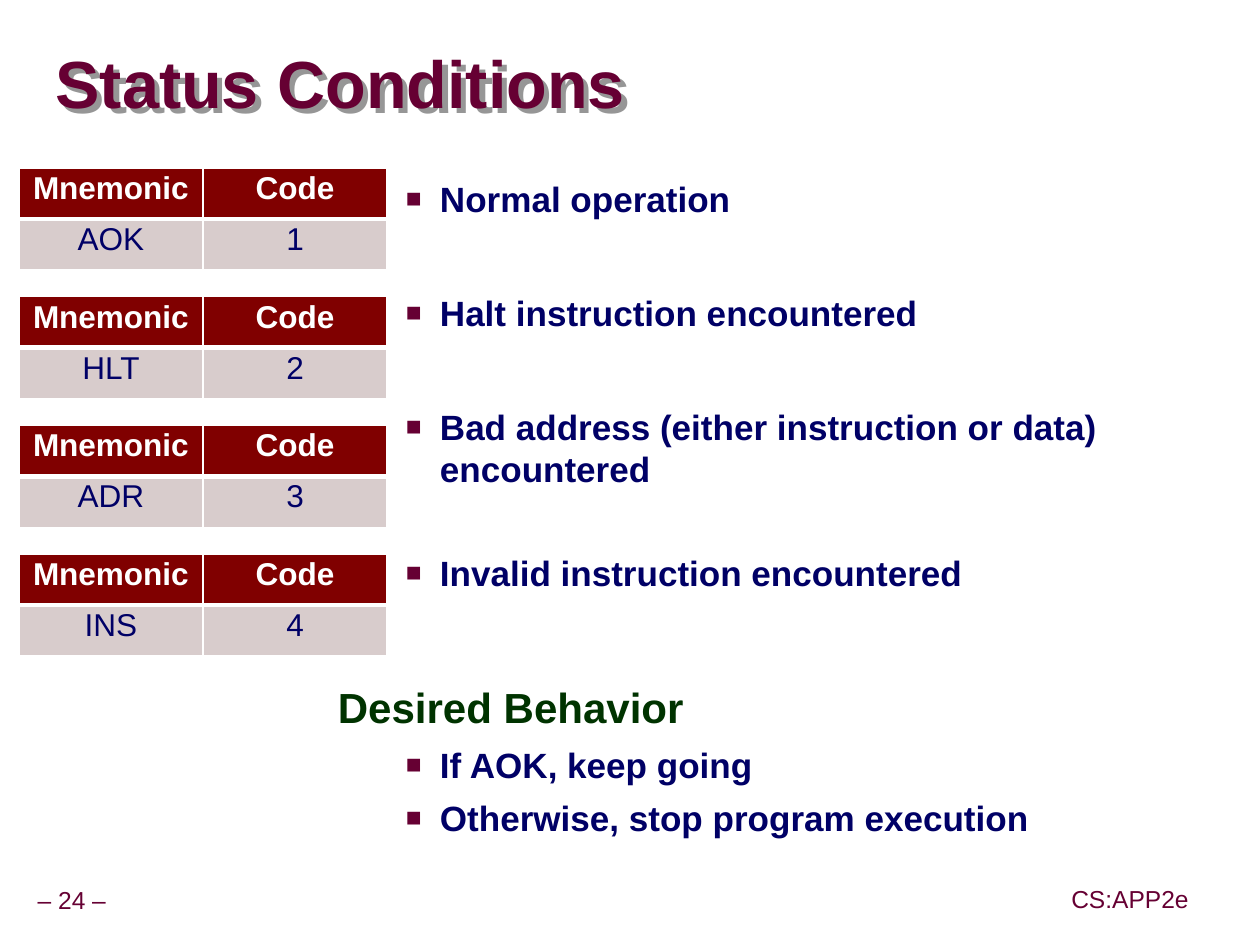
import pptx
import pptx.dml.color
import pptx.enum.text
import pptx.oxml
import pptx.util
from pptx.oxml.ns import nsdecls
from pptx.util import Inches

MAROON = "660033"
NAVY = "000066"
GREEN = "003300"
WHITE = "FFFFFF"
HEADER_FILL = "800000"
CODE_FILL = "D8CCCC"
CENTER = pptx.enum.text.PP_ALIGN.CENTER
MIDDLE = pptx.enum.text.MSO_ANCHOR.MIDDLE


def color(value):
    return pptx.dml.color.RGBColor.from_string(value)


def xml(markup):
    tag, rest = markup.split(">", 1)
    if tag.endswith("/"):
        return pptx.oxml.parse_xml(f"{tag[:-1]} {nsdecls('a')}/>{rest}")
    return pptx.oxml.parse_xml(f"{tag} {nsdecls('a')}>{rest}")


def write(para, text, size, ink, bold=False, align=None, line=None, before=0):
    para.alignment = align
    para.line_spacing = line
    para.space_before = pptx.util.Pt(before)
    span = para.add_run()
    span.text = text
    span.font.name = "Arial"
    span.font.size = pptx.util.Pt(size)
    span.font.bold = bold
    span.font.color.rgb = color(ink)


def add_box(page, left, top, width, height, margins=(0, 0), anchor=None, wrap=True):
    box = page.shapes.add_textbox(Inches(left), Inches(top), Inches(width), Inches(height))
    frame = box.text_frame
    frame.word_wrap = wrap
    frame.vertical_anchor = anchor
    frame.margin_left = frame.margin_right = Inches(margins[0])
    frame.margin_top = frame.margin_bottom = Inches(margins[1])
    return box


def add_title(page, text):
    box = add_box(page, 0.44, 0.27, 9.52, 0.85, anchor=MIDDLE)
    write(box.text_frame.paragraphs[0], text, 38, MAROON, bold=True, line=0.87)
    distance = Inches(0.06)
    box._element.spPr.append(xml(
        f'<a:effectLst><a:outerShdw dist="{distance}" dir="2700000" algn="ctr" rotWithShape="0">'
        '<a:srgbClr val="969696"/></a:outerShdw></a:effectLst>'))


def add_footer(page, text, left, top, width):
    box = add_box(page, left, top, width, 0.31, (0.05, 0.05), MIDDLE, wrap=False)
    write(box.text_frame.paragraphs[0], text, 14, MAROON, align=CENTER, line=0.9)


def set_borders(cell, bottom):
    properties = cell._tc.get_or_add_tcPr()
    widths = {"lnL": 1, "lnR": 1, "lnT": 1, "lnB": bottom}
    for index, (side, width) in enumerate(widths.items()):
        properties.insert(index, xml(
            f'<a:{side} w="{pptx.util.Pt(width)}"><a:solidFill>'
            f'<a:srgbClr val="{WHITE}"/></a:solidFill></a:{side}>'))


def add_status_table(page, top, mnemonic, code):
    rows = [("Mnemonic", "Code"), (mnemonic, code)]
    table = page.shapes.add_table(
        2, 2, Inches(0.15), Inches(top), Inches(2.92), Inches(0.81)).table
    for row_index, row in enumerate(rows):
        header = row_index == 0
        for column_index, text in enumerate(row):
            cell = table.cell(row_index, column_index)
            cell.fill.solid()
            cell.fill.fore_color.rgb = color(HEADER_FILL if header else CODE_FILL)
            set_borders(cell, bottom=3 if header else 1)
            write(cell.text_frame.paragraphs[0], text, 18, WHITE if header else NAVY,
                  bold=header, align=CENTER, line=0.9)


def add_bullet(para, text, before):
    properties = para._p.get_or_add_pPr()
    properties.set("marL", str(Inches(0.81)))
    properties.set("indent", str(Inches(-0.27)))
    properties.append(xml(f'<a:buClr><a:srgbClr val="{MAROON}"/></a:buClr>'))
    properties.append(xml('<a:buSzPct val="75000"/>'))
    properties.append(xml('<a:buFont typeface="Arial"/>'))
    properties.append(xml('<a:buChar char="■"/>'))
    write(para, text, 20, NAVY, bold=True, before=before)


def add_body(page, meanings, heading, behaviors):
    frame = add_box(page, 2.58, 1.36, 6.81, 5.67, (0.1, 0.05)).text_frame
    for index, (text, before) in enumerate(meanings):
        para = frame.add_paragraph() if index else frame.paragraphs[0]
        add_bullet(para, text, before)
    write(frame.add_paragraph(), heading, 24, GREEN, bold=True, line=0.95, before=52)
    for text in behaviors:
        add_bullet(frame.add_paragraph(), text, 6)


def main():
    deck = pptx.Presentation()
    deck.slide_width = Inches(9.99)
    deck.slide_height = Inches(7.49)
    page = deck.slides.add_slide(deck.slide_layouts[6])

    add_footer(page, "– 24 –", 0.24, 6.99, 0.66)
    add_footer(page, "CS:APP2e", 8.44, 6.98, 1.04)
    add_title(page, "Status Conditions")
    for index, mnemonic in enumerate(["AOK", "HLT", "ADR", "INS"]):
        add_status_table(page, 1.33 + 1.02 * index, mnemonic, str(index + 1))
    add_body(
        page,
        [("Normal operation", 0),
         ("Halt instruction encountered", 41),
         ("Bad address (either instruction or data) encountered", 41),
         ("Invalid instruction encountered", 35.5)],
        "Desired Behavior",
        ["If AOK, keep going", "Otherwise, stop program execution"])
    deck.save("out.pptx")


if __name__ == "__main__":
    main()
